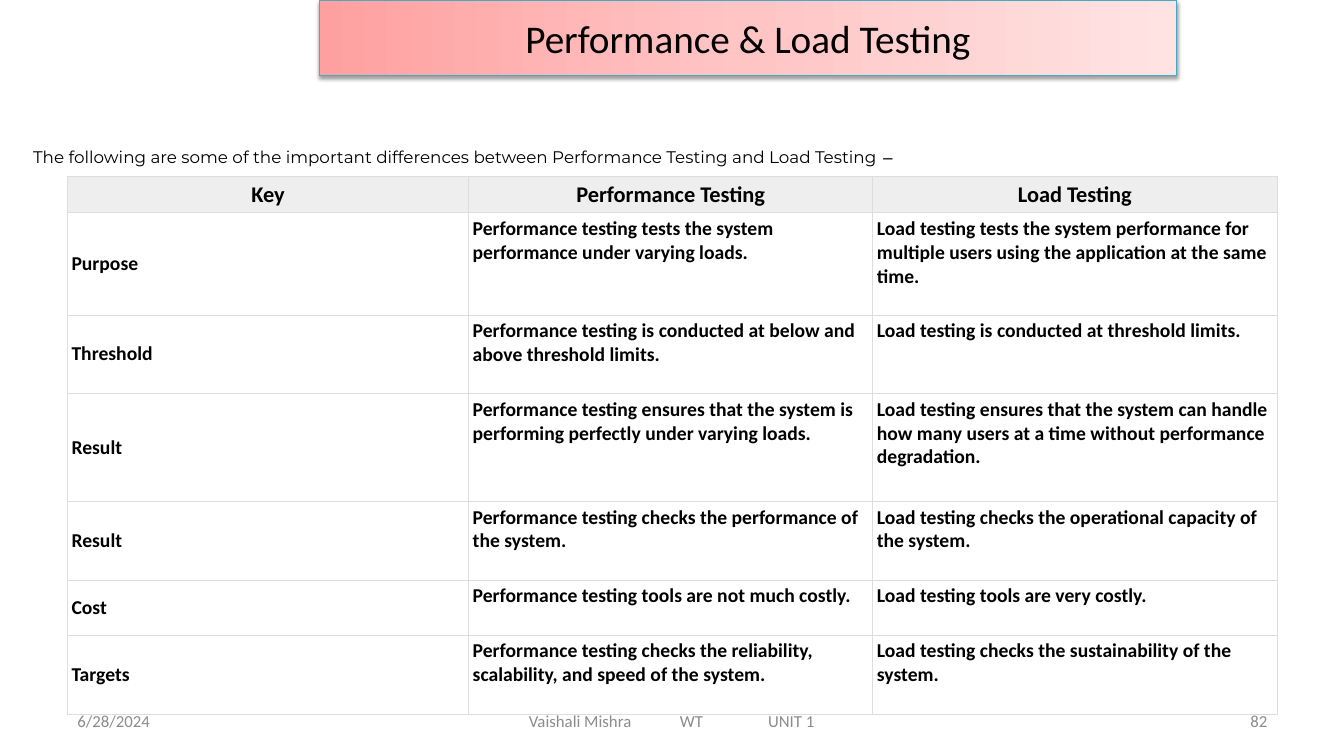
from copy import deepcopy
from dataclasses import dataclass

from lxml.etree import SubElement
from pptx import Presentation
from pptx.dml.color import RGBColor
from pptx.enum.text import MSO_ANCHOR, PP_ALIGN
from pptx.oxml.ns import qn
from pptx.util import Pt

BLACK = "000000"
GREY = "8C8C8C"
CELL_INSET = 2.9


@dataclass
class Label:
    text: str
    left: float
    top: float
    width: float
    height: float
    font: str = "Calibri"
    color: str = GREY
    align: PP_ALIGN = PP_ALIGN.LEFT
    inset: float = 7.2
    tabs: tuple[float, ...] = ()


@dataclass
class Difference:
    height: float
    key: str
    performance: str
    load: str


FOOTERS = [
    Label("6/28/2024", 48.2, 500.4, 224, 28.8),
    Label("Vaishali Mishra\tWT\tUNIT 1", 328.3, 500.4, 303.8, 28.8,
          inset=49.5, tabs=(107.9, 170.8)),
    Label("82", 688.3, 500.4, 224, 28.8, align=PP_ALIGN.RIGHT),
]
INTRO = Label(
    "The following are some of the important differences between "
    "Performance Testing and Load Testing ",
    16.6, 100.8, 938.9, 21.8, "Montserrat", BLACK, PP_ALIGN.JUSTIFY)

COLUMN_WIDTHS = [286.6, 288.7, 288.7]
DIFFERENCES = [
    Difference(26, "Key", "Performance Testing", "Load Testing"),
    Difference(73, "Purpose",
               "Performance testing tests the system performance under varying loads.",
               "Load testing tests the system performance for multiple users "
               "using the application at the same time."),
    Difference(56.1, "Threshold",
               "Performance testing is conducted at below and above threshold limits.",
               "Load testing is conducted at threshold limits."),
    Difference(77.1, "Result",
               "Performance testing ensures that the system is performing "
               "perfectly under varying loads.",
               "Load testing ensures that the system can handle how many users "
               "at a time without performance degradation."),
    Difference(56.1, "Result",
               "Performance testing checks the performance of the system.",
               "Load testing checks the operational capacity of the system."),
    Difference(39.4, "Cost",
               "Performance testing tools are not much costly.",
               "Load testing tools are very costly."),
    Difference(56.8, "Targets",
               "Performance testing checks the reliability, scalability, "
               "and speed of the system.",
               "Load testing checks the sustainability of the system."),
]


def rgb(color: str) -> RGBColor:
    return RGBColor.from_string(color)


def style(font, size: float, color: str, name: str = "Calibri", bold: bool = False) -> None:
    font.size, font.name, font.bold = Pt(size), name, bold
    font.color.rgb = rgb(color)


def add_label(slide, label: Label):
    box = slide.shapes.add_textbox(
        Pt(label.left), Pt(label.top), Pt(label.width), Pt(label.height))
    frame = box.text_frame
    frame.word_wrap = True
    frame.vertical_anchor = MSO_ANCHOR.MIDDLE
    frame.margin_left = Pt(label.inset)
    paragraph = frame.paragraphs[0]
    paragraph.text = label.text
    paragraph.alignment = label.align
    if label.tabs:
        stops = SubElement(paragraph._p.get_or_add_pPr(), qn("a:tabLst"))
        for position in label.tabs:
            SubElement(stops, qn("a:tab"), pos=str(Pt(position)), algn="l")
    for run in paragraph.runs:
        style(run.font, 12, label.color, label.font)
    return paragraph


def add_heading(slide, text: str) -> None:
    heading = slide.shapes.title
    heading.left, heading.top = Pt(228.2), Pt(0)
    heading.width, heading.height = Pt(612), Pt(54)
    heading.text_frame.text = text
    heading.text_frame.vertical_anchor = MSO_ANCHOR.MIDDLE
    paragraph = heading.text_frame.paragraphs[0]
    paragraph.alignment = PP_ALIGN.CENTER
    style(paragraph.runs[0].font, 28, BLACK)

    # Three-stop gradient
    heading.fill.gradient()
    heading.fill.gradient_angle = 0
    properties = heading._element.spPr
    stop_list = properties.find(".//" + qn("a:gsLst"))
    stop_list.insert(1, deepcopy(stop_list[0]))
    for stop, position, color in zip(heading.fill.gradient_stops, (0, 0.5, 1),
                                     ("FFA0A0", "FFC5C5", "FFE3E3")):
        stop.position = position
        stop.color.rgb = rgb(color)
    heading.line.color.rgb = rgb("46AAC5")
    heading.line.width = Pt(0.75)

    # Soft shadow below the banner
    heading.shadow.inherit = False
    shadow = SubElement(properties.find(qn("a:effectLst")), qn("a:outerShdw"),
                        blurRad=str(Pt(3.1)), dist=str(Pt(1.6)),
                        dir="5400000", rotWithShape="0")
    shade = SubElement(shadow, qn("a:srgbClr"), val=BLACK)
    SubElement(shade, qn("a:alpha"), val="38000")


def add_borders(cell, color: str, width: float) -> None:
    properties = cell._tc.get_or_add_tcPr()
    for side in ("a:lnL", "a:lnR", "a:lnT", "a:lnB"):
        line = SubElement(properties, qn(side), w=str(Pt(width)))
        SubElement(SubElement(line, qn("a:solidFill")), qn("a:srgbClr"), val=color)


def fill_cell(cell, text: str, is_header: bool, is_key: bool) -> None:
    add_borders(cell, "DDDDDD", 0.6)
    cell.fill.solid()
    cell.fill.fore_color.rgb = rgb("EEEEEE" if is_header else "FFFFFF")
    cell.margin_left = cell.margin_right = Pt(CELL_INSET)
    cell.margin_top = cell.margin_bottom = Pt(CELL_INSET)
    cell.vertical_anchor = MSO_ANCHOR.MIDDLE if is_header or is_key else MSO_ANCHOR.TOP
    paragraph = cell.text_frame.paragraphs[0]
    paragraph.text = text
    paragraph.alignment = PP_ALIGN.CENTER if is_header else PP_ALIGN.LEFT
    style(paragraph.runs[0].font, 16 if is_header else 14, BLACK, bold=True)


def add_comparison(slide, differences: list[Difference]) -> None:
    table = slide.shapes.add_table(
        len(differences), len(COLUMN_WIDTHS), Pt(48.2), Pt(126),
        Pt(sum(COLUMN_WIDTHS)), Pt(sum(d.height for d in differences))).table
    table.horz_banding = False
    for column, width in zip(table.columns, COLUMN_WIDTHS):
        column.width = Pt(width)
    for r, difference in enumerate(differences):
        table.rows[r].height = Pt(difference.height)
        texts = (difference.key, difference.performance, difference.load)
        for c, text in enumerate(texts):
            fill_cell(table.cell(r, c), text, r == 0, c == 0)


def main() -> None:
    presentation = Presentation()
    presentation.slide_width, presentation.slide_height = Pt(960), Pt(540)
    slide = presentation.slides.add_slide(presentation.slide_layouts[5])

    # Footer, heading and introduction
    for footer in FOOTERS:
        add_label(slide, footer)
    add_heading(slide, "Performance & Load Testing")
    dash = add_label(slide, INTRO).add_run()
    dash.text = "−"
    style(dash.font, 12, BLACK, "TeX Gyre Adventor")

    # Comparison table
    add_comparison(slide, DIFFERENCES)
    presentation.save("out.pptx")


if __name__ == "__main__":
    main()
